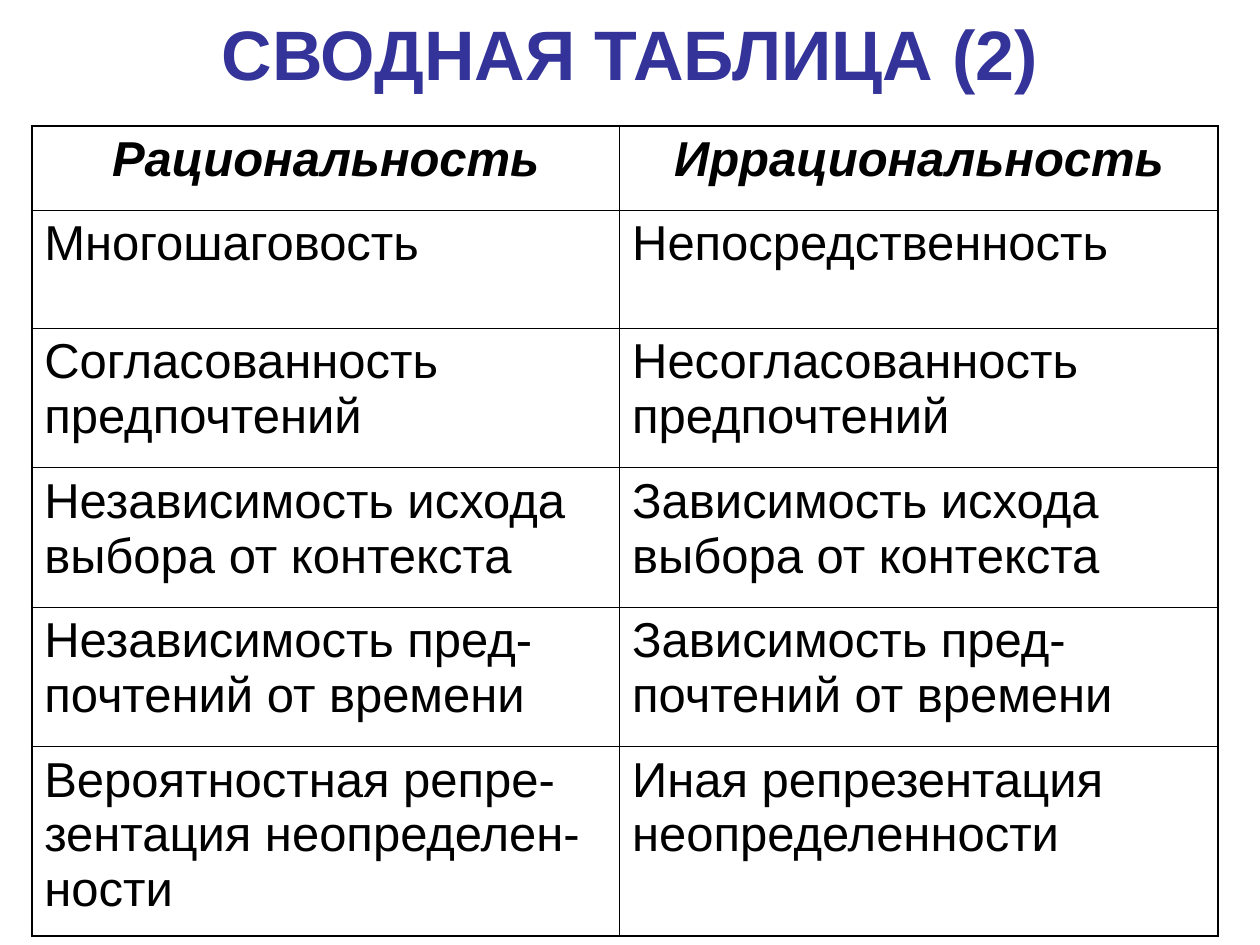
from lxml import etree
from pptx import Presentation
from pptx import util as u
from pptx.dml.color import RGBColor
from pptx.enum import text
from pptx.oxml import ns


def color(hex_value):
    return RGBColor.from_string(hex_value)


def write(frame, wording, align, hex_value, font_format):
    frame.word_wrap = True
    paragraph = frame.paragraphs[0]
    paragraph.alignment = align
    run = paragraph.add_run()
    run.text = wording
    for attribute, value in font_format.items():
        setattr(run.font, attribute, value)
    run.font.color.rgb = color(hex_value)


INK, HEADING = "000000", "333399"
THIN, THICK = u.Pt(0.45), u.Pt(1.08)
LEFT, CENTER = text.PP_ALIGN.LEFT, text.PP_ALIGN.CENTER

heading_format = dict(name="Arial", size=u.Pt(40), bold=True)
body_format = dict(name="Arial", size=u.Pt(28), bold=False, italic=False)
header_format = dict(body_format, bold=True, italic=True)

comparison = [
    ("Рациональность", "Иррациональность"),
    ("Многошаговость", "Непосредственность"),
    ("Согласованность предпочтений", "Несогласованность предпочтений"),
    ("Независимость исхода выбора от контекста",
     "Зависимость исхода выбора от контекста"),
    ("Независимость пред-почтений от времени",
     "Зависимость пред-почтений от времени"),
    ("Вероятностная репре-зентация неопределен-ности",
     "Иная репрезентация неопределенности"),
]
column_widths = [11.85, 12.07]
row_heights = [1.7, 2.38, 2.81, 2.81, 2.81, 3.81]

deck = Presentation()
deck.slide_width, deck.slide_height = u.Cm(25.4), u.Cm(19.05)
slide = deck.slides.add_slide(deck.slide_layouts[6])

# Heading
heading = slide.shapes.add_textbox(u.Cm(1.27), 0, u.Cm(22.86), u.Cm(2.1)).text_frame
heading.vertical_anchor = text.MSO_ANCHOR.MIDDLE
write(heading, "СВОДНАЯ ТАБЛИЦА (2)", CENTER, HEADING, heading_format)

# Comparison table
summary = slide.shapes.add_table(
    len(comparison), len(column_widths), u.Cm(0.64), u.Cm(2.54),
    u.Cm(sum(column_widths)), u.Cm(sum(row_heights))).table
summary.first_row = summary.horz_banding = False
for column, width in zip(summary.columns, column_widths):
    column.width = u.Cm(width)
for row, height in zip(summary.rows, row_heights):
    row.height = u.Cm(height)

# Cells: thick lines on the outer frame, thin lines inside
last_row, last_column = len(comparison) - 1, len(column_widths) - 1
for r, pair in enumerate(comparison):
    for c, wording in enumerate(pair):
        cell = summary.cell(r, c)
        on_frame = {"a:lnL": c == 0, "a:lnR": c == last_column,
                    "a:lnT": r == 0, "a:lnB": r == last_row}
        properties = cell._tc.get_or_add_tcPr()
        for side, is_outer in on_frame.items():
            border = etree.SubElement(properties, ns.qn(side),
                                      w=str(THICK if is_outer else THIN))
            fill = etree.SubElement(border, ns.qn("a:solidFill"))
            etree.SubElement(fill, ns.qn("a:srgbClr"), val=INK)
        cell.fill.background()
        write(cell.text_frame, wording, LEFT if r else CENTER, INK,
              body_format if r else header_format)

deck.save("out.pptx")
